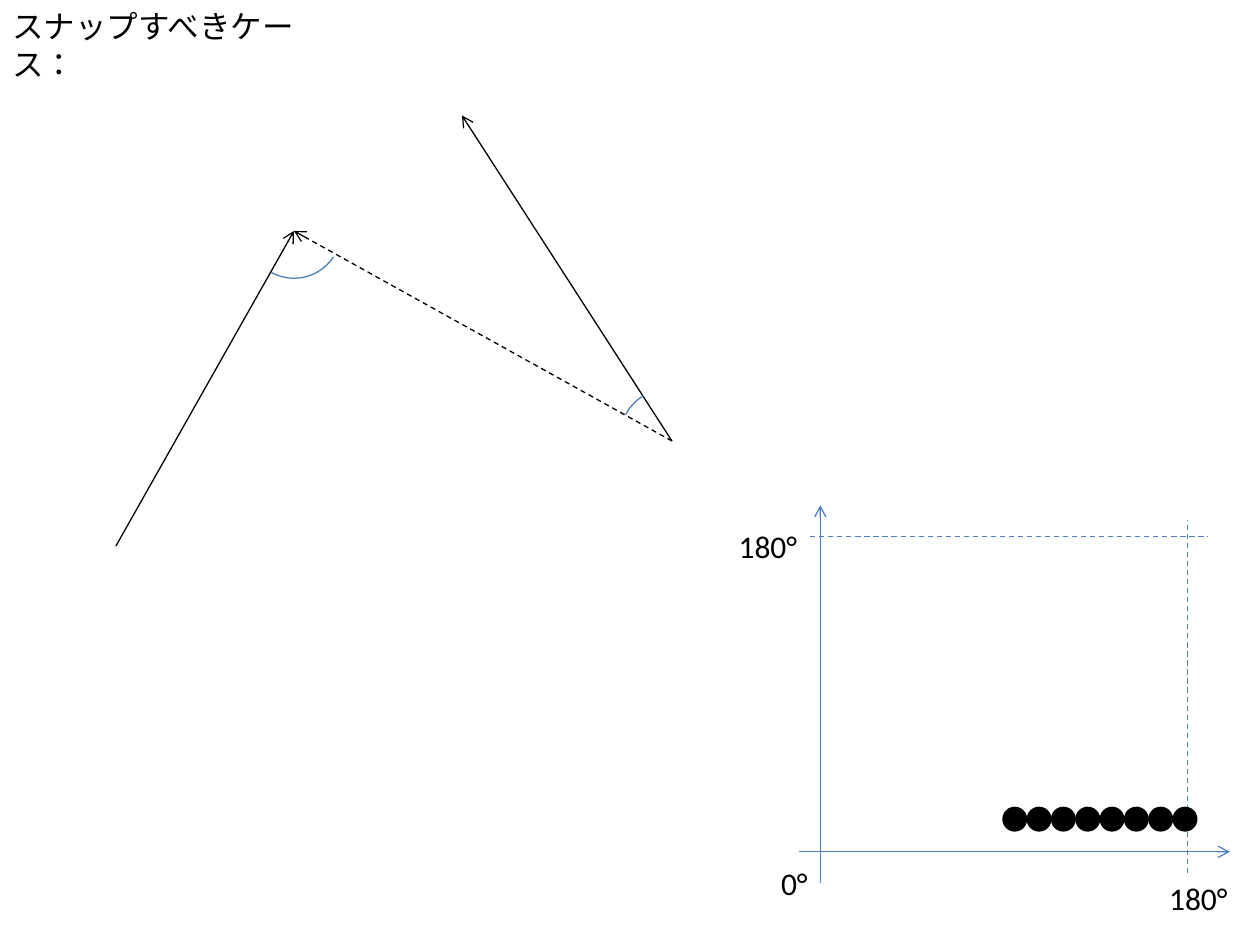
from dataclasses import dataclass

from lxml.etree import SubElement
from pptx import Presentation
from pptx.dml.color import RGBColor
from pptx.enum.dml import MSO_LINE
from pptx.enum.lang import MSO_LANGUAGE_ID
from pptx.enum.shapes import MSO_CONNECTOR, MSO_SHAPE
from pptx.enum.text import MSO_ANCHOR, MSO_AUTO_SIZE
from pptx.oxml.ns import qn
from pptx.shapes.shapetree import _BaseGroupShapes as Shapes
from pptx.util import Pt

BLACK = RGBColor(0, 0, 0)
BLUE = RGBColor(0x4B, 0x7E, 0xBC)

FRAME = {
    "word_wrap": True,
    "auto_size": MSO_AUTO_SIZE.SHAPE_TO_FIT_TEXT,
    "vertical_anchor": MSO_ANCHOR.TOP,
}
FONT = {
    "name": "Calibri",
    "size": Pt(18),
    "language_id": MSO_LANGUAGE_ID.JAPANESE,
}


@dataclass
class Line:
    start: tuple[float, float]
    end: tuple[float, float]
    color: RGBColor
    arrow: bool = True
    dash: bool = False


@dataclass
class Label:
    text: str
    left: float
    top: float
    width: float


@dataclass
class Arc:
    left: float
    top: float
    width: float
    height: float
    angles: tuple[float, float]


def set_all(target: object, values: dict) -> None:
    for name, value in values.items():
        setattr(target, name, value)


def draw_line(shapes: Shapes, item: Line) -> None:
    ends = [Pt(value) for value in (*item.start, *item.end)]
    link = shapes.add_connector(MSO_CONNECTOR.STRAIGHT, *ends)
    link.line.color.rgb = item.color
    link.line.width = Pt(0.75)
    if item.dash:
        link.line.dash_style = MSO_LINE.DASH
    props = link._element.spPr
    if item.arrow:
        SubElement(props.find(qn("a:ln")), qn("a:tailEnd"), type="arrow")
    SubElement(props, qn("a:effectLst"))


def draw_label(shapes: Shapes, item: Label) -> None:
    box = shapes.add_textbox(Pt(item.left), Pt(item.top), Pt(item.width), Pt(29))
    set_all(box.text_frame, FRAME)
    run = box.text_frame.paragraphs[0].add_run()
    run.text = item.text
    set_all(run.font, FONT)
    run.font.color.rgb = BLACK


def draw_arc(shapes: Shapes, item: Arc) -> None:
    area = [Pt(value) for value in (item.left, item.top, item.width, item.height)]
    arc = shapes.add_shape(MSO_SHAPE.ARC, *area)
    arc.shadow.inherit = False
    for index, angle in enumerate(item.angles):
        arc.adjustments[index] = angle * 0.6
    arc.fill.background()
    arc.line.color.rgb = BLUE
    arc.line.width = Pt(0.75)


def draw_dot(shapes: Shapes, left: float, top: float, size: float) -> None:
    dot = shapes.add_shape(MSO_SHAPE.OVAL, Pt(left), Pt(top), Pt(size), Pt(size))
    dot.shadow.inherit = False
    dot.fill.solid()
    dot.fill.fore_color.rgb = BLACK
    dot.line.color.rgb = BLACK
    dot.line.width = Pt(2)


BASE, PEAK = (66.25, 312), (168, 132)
JOINT, TIP = (384, 252), (264, 66)

PATHS = [
    Line(BASE, PEAK, BLACK),
    Line(JOINT, PEAK, BLACK, dash=True),
    Line(JOINT, TIP, BLACK),
]
ARCS = [
    Arc(141, 105, 54, 54, (33.28, 118.79)),
    Arc(354, 222.5, 54, 57, (210.89, 241.89)),
]
AXES = [
    Line((456.5, 486.75), (702.75, 486.75), BLUE),
    Line((468.75, 504.75), (468.75, 288.75), BLUE),
    Line((463, 306.75), (690.5, 306.75), BLUE, arrow=False, dash=True),
    Line((678.75, 499), (678.75, 297.25), BLUE, arrow=False, dash=True),
]
MARKS = [
    Label("180°", 661, 499, 60.5),
    Label("180°", 415, 297.5, 60.5),
    Label("0°", 439.25, 490, 42),
]


def main() -> None:
    deck = Presentation()
    set_all(deck, {"slide_width": Pt(720), "slide_height": Pt(540)})
    shapes = deck.slides.add_slide(deck.slide_layouts[6]).shapes
    draw_label(shapes, Label("スナップすべきケース：", 0, 0.75, 188.5))
    for path in PATHS:
        draw_line(shapes, path)
    for arc in ARCS:
        draw_arc(shapes, arc)
    graph = shapes.add_group_shape().shapes
    for axis in AXES:
        draw_line(graph, axis)
    for mark in MARKS:
        draw_label(graph, mark)
    for index in range(8):
        draw_dot(shapes, 573.75 + 13.9 * index, 462, 12.25)
    deck.save("out.pptx")


if __name__ == "__main__":
    main()
